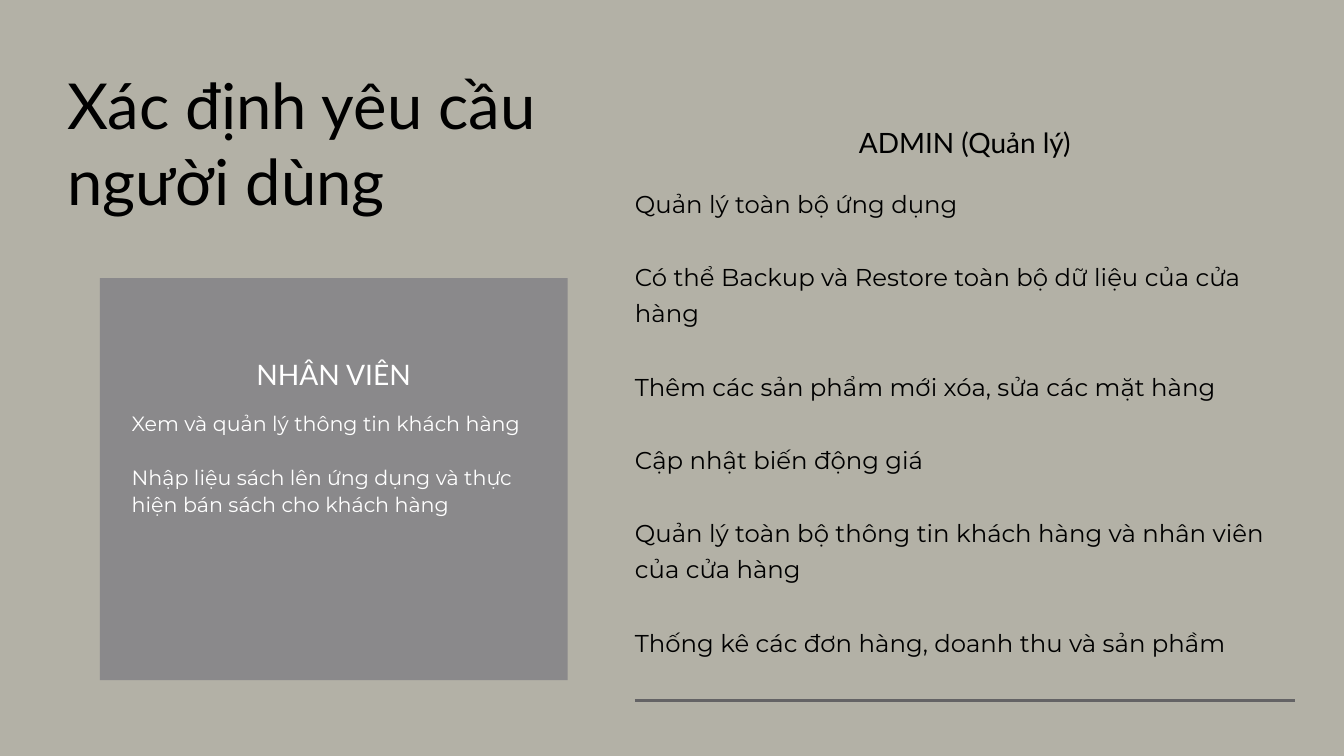
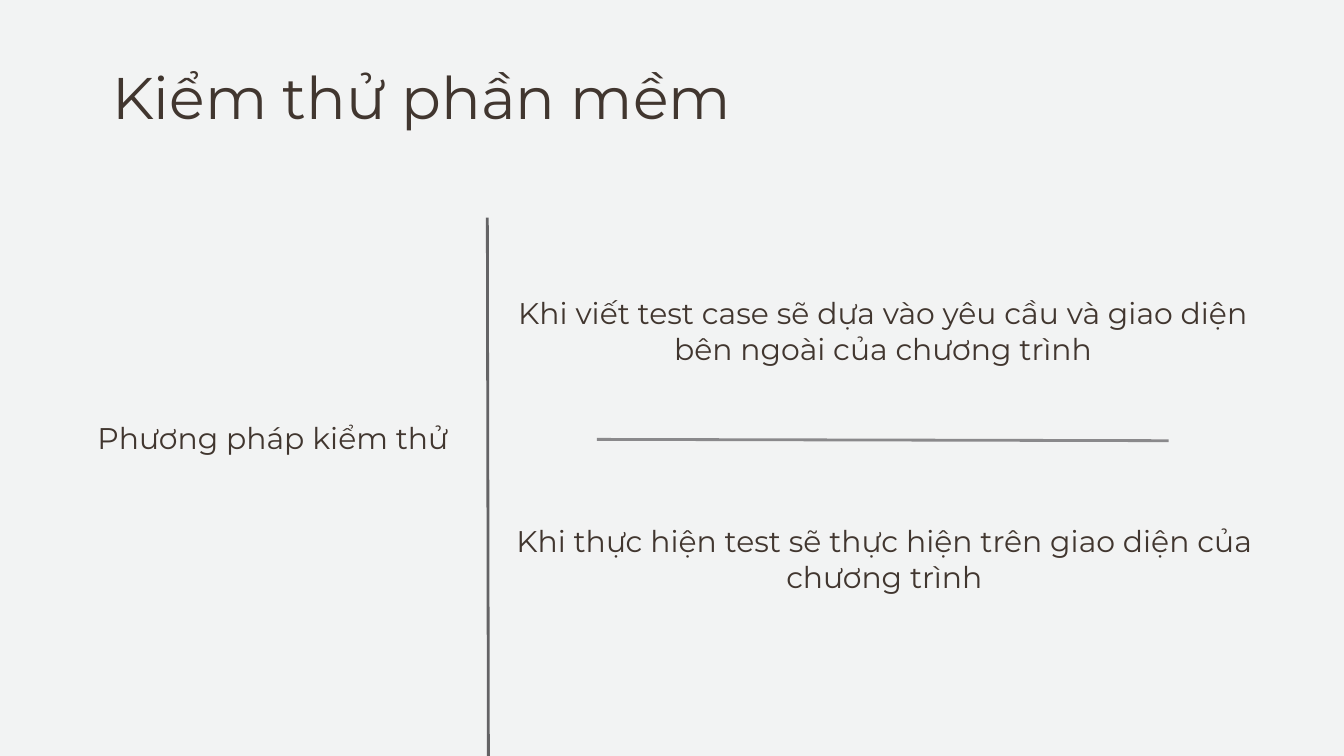
from lxml.etree import SubElement
from pptx import Presentation
from pptx.dml.color import RGBColor
from pptx.enum.shapes import MSO_CONNECTOR, MSO_SHAPE
from pptx.enum.text import MSO_AUTO_SIZE, PP_ALIGN
from pptx.oxml.ns import qn
from pptx.util import Cm, Pt

WIDTH, HEIGHT = 50.8, 28.58
STONE, MIST = "B3B1A6", "F2F3F3"
GREY, SLATE = "8A898B", "646365"
BLACK, WHITE, BROWN = "000000", "FFFFFF", "41362F"
HEADING_FONT, BODY_FONT = "Lato", "Montserrat"


def color(hex_string):
    return RGBColor.from_string(hex_string)


class Deck:
    def __init__(self):
        self.presentation = Presentation()
        self.presentation.slide_width = Cm(WIDTH)
        self.presentation.slide_height = Cm(HEIGHT)
        self.slide = None

    def new_slide(self, background):
        self.slide = self.presentation.slides.add_slide(self.presentation.slide_layouts[6])
        fill = self.slide.background.fill
        fill.solid()
        fill.fore_color.rgb = color(background)

    def panel(self, left, top, width, height, fill):
        panel = self.slide.shapes.add_shape(
            MSO_SHAPE.RECTANGLE, Cm(left), Cm(top), Cm(width), Cm(height))
        panel.shadow.inherit = False
        panel.fill.solid()
        panel.fill.fore_color.rgb = color(fill)
        panel.line.fill.background()

    def rule(self, start_x, start_y, end_x, end_y, ink=SLATE):
        rule = self.slide.shapes.add_connector(
            MSO_CONNECTOR.STRAIGHT, Cm(start_x), Cm(start_y), Cm(end_x), Cm(end_y))
        rule.line.color.rgb = color(ink)
        rule.line.width = Pt(3)
        SubElement(rule._element.spPr, qn("a:effectLst"))

    def text(self, *paragraphs, left, top, width, height, size, leading,
             ink=BLACK, font=BODY_FONT, align=PP_ALIGN.LEFT):
        box = self.slide.shapes.add_textbox(Cm(left), Cm(top), Cm(width), Cm(height))
        frame = box.text_frame
        frame.word_wrap = True
        frame.auto_size = MSO_AUTO_SIZE.SHAPE_TO_FIT_TEXT
        frame.margin_left = frame.margin_top = frame.margin_right = frame.margin_bottom = 0
        for index, content in enumerate(paragraphs):
            paragraph = frame.add_paragraph() if index else frame.paragraphs[0]
            paragraph.text = content
            paragraph.alignment = align
            paragraph.line_spacing = Pt(leading)
            if index:
                paragraph.space_before = Pt(leading)
            paragraph.font.size = Pt(size)
            paragraph.font.name = font
            paragraph.font.color.rgb = color(ink)

    def heading(self, content, **format):
        self.text(content, height=1.32, leading=39.2, font=HEADING_FONT,
                  align=PP_ALIGN.CENTER, **format)

    def statement(self, content, **format):
        self.text(content, size=32, leading=38.4, ink=BROWN,
                  align=PP_ALIGN.CENTER, **format)


def user_requirements(deck):
    deck.new_slide(STONE)
    deck.text("Xác định yêu cầu người dùng", left=2.54, top=2.51, width=22.86,
              height=5.74, size=67.9, leading=81.5, font=HEADING_FONT)

    deck.panel(3.78, 10.52, 17.68, 15.19, GREY)
    staff = {"left": 4.98, "width": 15.27, "ink": WHITE}
    deck.heading("NHÂN VIÊN", top=13.41, size=30.2, **staff)
    deck.text("Xem và quản lý thông tin khách hàng",
              "Nhập liệu sách lên ứng dụng và thực hiện bán sách cho khách hàng",
              top=15.47, height=3.99, size=22.1, leading=28.8, **staff)

    admin = {"left": 24, "width": 24.94}
    deck.heading("ADMIN (Quản lý)", top=4.65, size=30, **admin)
    deck.text("Quản lý toàn bộ ứng dụng",
              "Có thể Backup và Restore toàn bộ dữ liệu của cửa hàng",
              "Thêm các sản phẩm mới xóa, sửa các mặt hàng",
              "Cập nhật biến động giá",
              "Quản lý toàn bộ thông tin khách hàng và nhân viên của cửa hàng",
              "Thống kê các đơn hàng, doanh thu và sản phầm",
              top=6.86, height=17.78, size=26.1, leading=39.2, **admin)
    deck.rule(24, 26.49, 48.94, 26.49)


def software_testing(deck):
    deck.new_slide(MIST)
    deck.text("Kiểm thử phần mềm", left=4.24, top=2.82, width=29.69, height=2.31,
              size=62.9, leading=61, ink=BROWN)
    deck.rule(18.42, 8.23, 18.46, HEIGHT)
    deck.rule(22.56, 16.61, 44.17, 16.66, GREY)
    deck.statement("Phương pháp kiểm thử", left=3.43, top=15.88, width=13.79, height=1.35)
    deck.statement("Khi viết test case sẽ dựa vào yêu cầu và giao diện bên ngoài của chương trình",
                   left=19.46, top=11.13, width=27.84, height=4.22)
    deck.statement("Khi thực hiện test sẽ thực hiện trên giao diện của chương trình",
                   left=19.46, top=19.76, width=27.94, height=4.04)


def main():
    deck = Deck()
    user_requirements(deck)
    software_testing(deck)
    deck.presentation.save("out.pptx")


if __name__ == "__main__":
    main()
